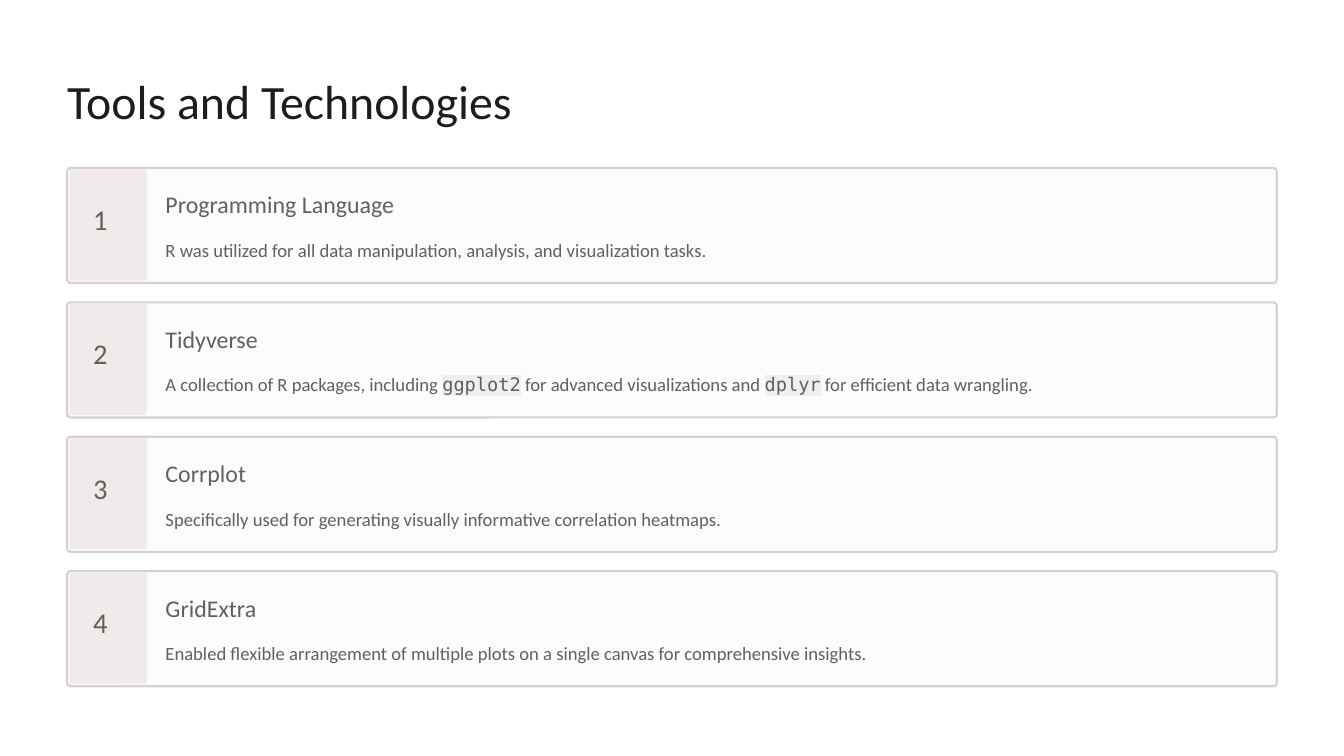
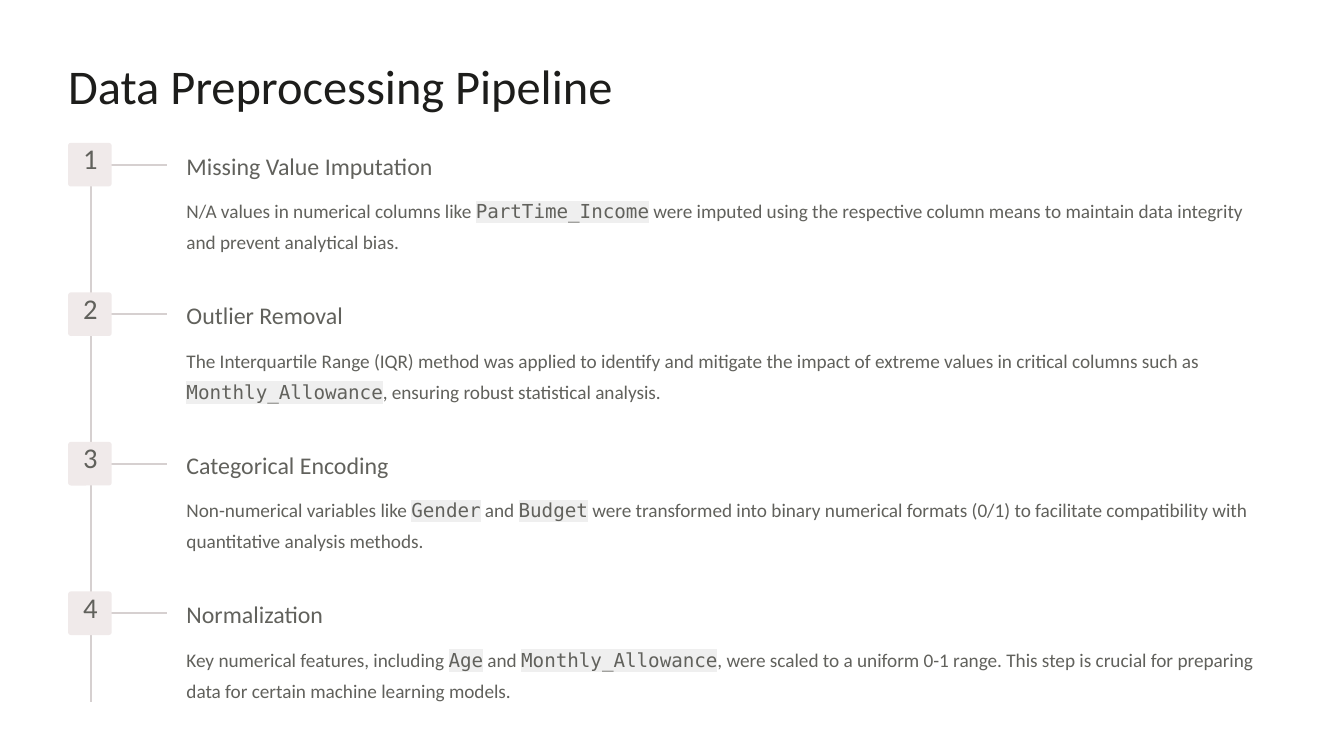
from dataclasses import dataclass

from lxml import etree
from pptx import Presentation
from pptx.dml.color import RGBColor
from pptx.enum.shapes import MSO_CONNECTOR, MSO_SHAPE
from pptx.enum.text import MSO_ANCHOR, MSO_AUTO_SIZE, PP_ALIGN
from pptx.oxml.ns import qn
from pptx.presentation import Presentation as Deck
from pptx.shapes.autoshape import Shape
from pptx.slide import Slide
from pptx.util import Emu, Pt

ROUNDED = MSO_SHAPE.ROUNDED_RECTANGLE
STRAIGHT = MSO_CONNECTOR.STRAIGHT
TOP = MSO_ANCHOR.TOP
FIXED_SIZE = MSO_AUTO_SIZE.NONE
LEFT, CENTER = PP_ALIGN.LEFT, PP_ALIGN.CENTER

EMU_PER_PX = 9144
TITLE_ONLY = 5
SANS = "Calibri"
MONO = "DejaVu Sans Mono"
CODE_MARK = "`"

INK = RGBColor(0x1D, 0x1D, 0x1B)
GREY = RGBColor(0x61, 0x61, 0x5C)
RULE = RGBColor(0xD6, 0xD0, 0xD0)
CARD = RGBColor(0xFC, 0xFC, 0xFC)
BADGE = RGBColor(0xF0, 0xEA, 0xEA)
CODE_BACK = RGBColor(0xEF, 0xEF, 0xEF)


@dataclass(frozen=True)
class Box:
    left: int
    top: int
    width: int
    height: int

    def down(self, distance: int) -> "Box":
        return Box(self.left, self.top + distance, self.width, self.height)

    def emu(self) -> tuple[Emu, Emu, Emu, Emu]:
        return px(self.left), px(self.top), px(self.width), px(self.height)


@dataclass(frozen=True)
class TextStyle:
    size: float
    leading: float
    color: RGBColor = GREY
    align: PP_ALIGN = LEFT


@dataclass(frozen=True)
class Entry:
    heading: str
    detail: str


@dataclass(frozen=True)
class EntryLayout:
    pitch: int
    number: Box
    heading: Box
    detail: Box
    number_style: TextStyle
    heading_style: TextStyle
    detail_style: TextStyle


TOOLS = [
    Entry("Programming Language",
          "R was utilized for all data manipulation, analysis, and visualization tasks."),
    Entry("Tidyverse",
          "A collection of R packages, including `ggplot2` for advanced visualizations "
          "and `dplyr` for efficient data wrangling."),
    Entry("Corrplot",
          "Specifically used for generating visually informative correlation heatmaps."),
    Entry("GridExtra",
          "Enabled flexible arrangement of multiple plots on a single canvas "
          "for comprehensive insights."),
]
STEPS = [
    Entry("Missing Value Imputation",
          "N/A values in numerical columns like `PartTime_Income` were imputed using the "
          "respective column means to maintain data integrity and prevent analytical bias."),
    Entry("Outlier Removal",
          "The Interquartile Range (IQR) method was applied to identify and mitigate the impact "
          "of extreme values in critical columns such as `Monthly_Allowance`, "
          "ensuring robust statistical analysis."),
    Entry("Categorical Encoding",
          "Non-numerical variables like `Gender` and `Budget` were transformed into binary "
          "numerical formats (0/1) to facilitate compatibility with quantitative analysis methods."),
    Entry("Normalization",
          "Key numerical features, including `Age` and `Monthly_Allowance`, were scaled to a "
          "uniform 0-1 range. This step is crucial for preparing data for certain "
          "machine learning models."),
]

TOOL_LAYOUT = EntryLayout(
    160, Box(111, 247, 34, 43), Box(197, 225, 354, 36), Box(197, 275, 1298, 37),
    TextStyle(24.5, 24.5), TextStyle(20.5, 25.5), TextStyle(16, 26))
STEP_LAYOUT = EntryLayout(
    178, Box(90, 175, 35, 43), Box(222, 178, 373, 36), Box(222, 228, 1297, 74),
    TextStyle(24.5, 24.5, align=CENTER), TextStyle(20.5, 26), TextStyle(16.5, 26.5))


def px(length: int) -> Emu:
    return Emu(length * EMU_PER_PX)


def write(holder: Shape, text: str, style: TextStyle) -> None:
    frame = holder.text_frame
    frame.word_wrap = True
    frame.auto_size = FIXED_SIZE
    frame.vertical_anchor = TOP
    frame.margin_left = frame.margin_top = frame.margin_right = frame.margin_bottom = 0
    paragraph = frame.paragraphs[0]
    paragraph.alignment = style.align
    paragraph.line_spacing = Pt(style.leading)
    for index, part in enumerate(text.split(CODE_MARK)):
        is_code = index % 2 == 1
        run = paragraph.add_run()
        run.text = part
        run.font.size = Pt(style.size)
        run.font.color.rgb = style.color
        if is_code:
            highlight = etree.SubElement(run.font._element, qn("a:highlight"))
            etree.SubElement(highlight, qn("a:srgbClr"), val=str(CODE_BACK))
        run.font.name = MONO if is_code else SANS


def add_text(slide: Slide, box: Box, text: str, style: TextStyle) -> None:
    write(slide.shapes.add_textbox(*box.emu()), text, style)


def add_panel(slide: Slide, box: Box, fill: RGBColor, rounding: float,
              outlined: bool = False) -> None:
    panel = slide.shapes.add_shape(ROUNDED, *box.emu())
    panel.shadow.inherit = False
    panel.adjustments[0] = rounding
    panel.fill.solid()
    panel.fill.fore_color.rgb = fill
    if outlined:
        panel.line.color.rgb = RULE
        panel.line.width = Pt(1.8)
    else:
        panel.line.fill.background()


def add_rule(slide: Slide, x1: int, y1: int, x2: int, y2: int) -> None:
    rule = slide.shapes.add_connector(STRAIGHT, px(x1), px(y1), px(x2), px(y2))
    rule.line.color.rgb = RULE
    rule.line.width = Pt(1.8)
    etree.SubElement(rule._element.spPr, qn("a:effectLst"))


def add_titled_slide(deck: Deck, title: str, box: Box, style: TextStyle) -> Slide:
    slide = deck.slides.add_slide(deck.slide_layouts[TITLE_ONLY])
    heading = slide.shapes.title
    heading.left, heading.top, heading.width, heading.height = box.emu()
    write(heading, title, style)
    return slide


def add_entry(slide: Slide, index: int, entry: Entry, layout: EntryLayout) -> None:
    offset = index * layout.pitch
    add_text(slide, layout.number.down(offset), str(index + 1), layout.number_style)
    add_text(slide, layout.heading.down(offset), entry.heading, layout.heading_style)
    add_text(slide, layout.detail.down(offset), entry.detail, layout.detail_style)


def build_tools(deck: Deck) -> None:
    slide = add_titled_slide(deck, "Tools and Technologies", Box(80, 83, 672, 71),
                             TextStyle(41, 51, INK))
    card, band = Box(80, 200, 1440, 137), Box(83, 202, 92, 132)
    for index, tool in enumerate(TOOLS):
        offset = index * TOOL_LAYOUT.pitch
        add_panel(slide, card.down(offset), CARD, 0.03, outlined=True)
        add_panel(slide, band.down(offset), BADGE, 0.01)
        add_entry(slide, index, tool, TOOL_LAYOUT)


def build_pipeline(deck: Deck) -> None:
    slide = add_titled_slide(deck, "Data Preprocessing Pipeline", Box(81, 64, 822, 72),
                             TextStyle(41.5, 52, INK))
    badge = Box(81, 170, 52, 52)
    add_rule(slide, 108, 170, 108, 836)
    for index, step in enumerate(STEPS):
        offset = index * STEP_LAYOUT.pitch
        add_rule(slide, 130, 196 + offset, 199, 196 + offset)
        add_panel(slide, badge.down(offset), BADGE, 0.07)
        add_entry(slide, index, step, STEP_LAYOUT)


def main() -> None:
    deck = Presentation()
    deck.slide_width, deck.slide_height = px(1600), px(900)
    build_tools(deck)
    build_pipeline(deck)
    deck.save("out.pptx")


if __name__ == "__main__":
    main()
